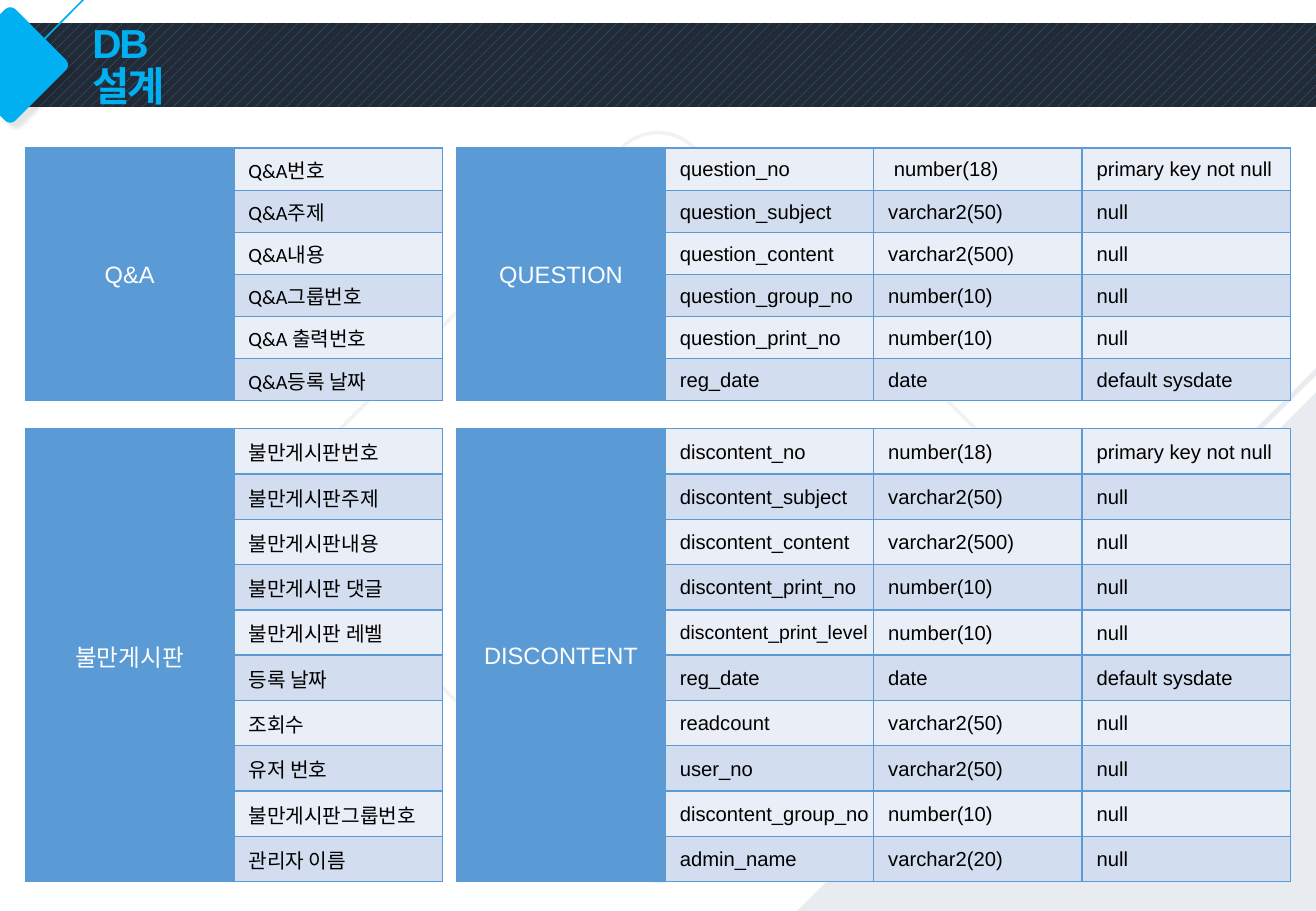
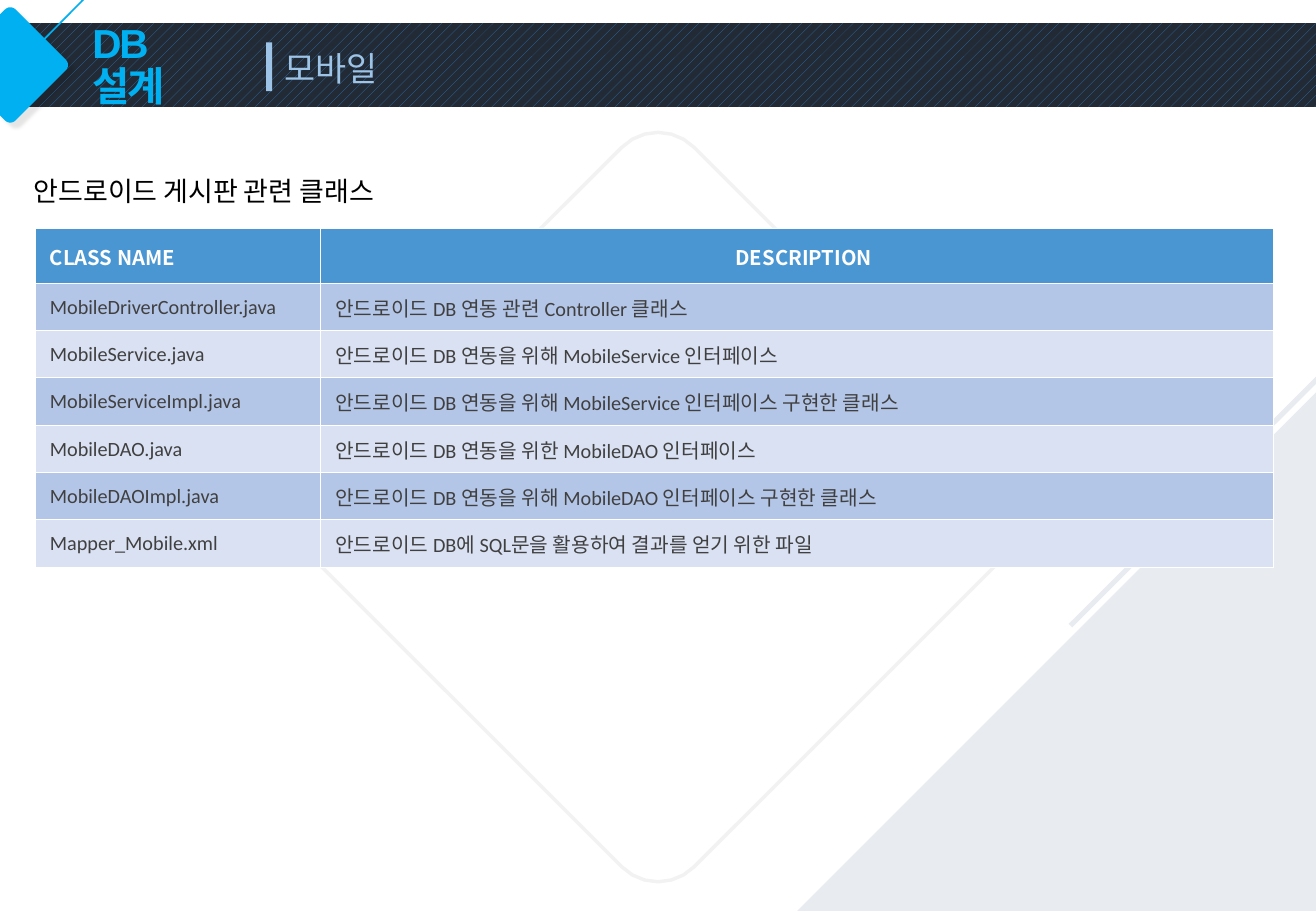
from math import cos, radians, sin, sqrt

from pptx import Presentation
from pptx.dml.color import RGBColor
from pptx.enum.dml import MSO_PATTERN
from pptx.enum.shapes import MSO_CONNECTOR, MSO_SHAPE
from pptx.enum.text import MSO_ANCHOR as ANCHOR, PP_ALIGN as ALIGN
from pptx.oxml import parse_xml
from pptx.oxml.ns import nsdecls
from pptx.oxml.xmlchemy import OxmlElement
from pptx.util import Inches, Pt

WHITE, BLACK, CYAN, PALE_BLUE = "FFFFFF", "000000", "00B0F0", "9DC3E6"
BLUE, GHOST, CORNER = "5B9BD5", "F2F2F2", "E8EBF0"
BANDS = ("EAEFF7", "D2DEEF")
HEADER, CLASS_BANDS = "4A96D2", ("B4C6E7", "D9E1F2")
KOREAN = "Noto Sans CJK KR"

QA_LABELS = ["Q&A번호", "Q&A주제", "Q&A내용", "Q&A그룹번호", "Q&A 출력번호", "Q&A등록 날짜"]
QUESTION = [
    ("question_no", " number(18)", "primary key not null"),
    ("question_subject", "varchar2(50)", "null"),
    ("question_content", "varchar2(500)", "null"),
    ("question_group_no", "number(10)", "null"),
    ("question_print_no", "number(10)", "null"),
    ("reg_date", "date", "default sysdate"),
]
BOARD_LABELS = ["불만게시판번호", "불만게시판주제", "불만게시판내용", "불만게시판 댓글",
                "불만게시판 레벨", "등록 날짜", "조회수", "유저 번호",
                "불만게시판그룹번호", "관리자 이름"]
DISCONTENT = [
    ("discontent_no", "number(18)", "primary key not null"),
    ("discontent_subject", "varchar2(50)", "null"),
    ("discontent_content", "varchar2(500)", "null"),
    ("discontent_print_no", "number(10)", "null"),
    ("discontent_print_level", "number(10)", "null"),
    ("reg_date", "date", "default sysdate"),
    ("readcount", "varchar2(50)", "null"),
    ("user_no", "varchar2(50)", "null"),
    ("discontent_group_no", "number(10)", "null"),
    ("admin_name", "varchar2(20)", "null"),
]
CLASSES = [
    ("CLASS NAME", "DESCRIPTION"),
    ("MobileDriverController.java", "안드로이드 DB 연동 관련 Controller 클래스"),
    ("MobileService.java", "안드로이드 DB 연동을 위해 MobileService 인터페이스"),
    ("MobileServiceImpl.java", "안드로이드 DB 연동을 위해 MobileService 인터페이스 구현한 클래스"),
    ("MobileDAO.java", "안드로이드 DB 연동을 위한 MobileDAO 인터페이스"),
    ("MobileDAOImpl.java", "안드로이드 DB 연동을 위해 MobileDAO 인터페이스 구현한 클래스"),
    ("Mapper_Mobile.xml", "안드로이드 DB에 SQL문을 활용하여 결과를 얻기 위한 파일"),
]


def rgb(value):
    return RGBColor.from_string(value)


def paint(obj, color):
    obj.fill.solid()
    obj.fill.fore_color.rgb = rgb(color)


def inches(*values):
    return [Inches(v) for v in values]


def write(tf, text, size, color, name="Calibri", bold=False, align=None):
    p = tf.paragraphs[0]
    p.alignment = align
    r = p.add_run()
    r.text = text
    for key, value in {"name": name, "size": Pt(size), "bold": bold}.items():
        setattr(r.font, key, value)
    r.font.color.rgb = rgb(color)
    ea = OxmlElement("a:ea")
    ea.set("typeface", KOREAN)
    r.font._element.append(ea)
    return p, r


def add_text(slide, box, text, size, color, **fmt):
    tf = slide.shapes.add_textbox(*inches(*box)).text_frame
    tf.word_wrap = True
    return tf, *write(tf, text, size, color, **fmt)


def add_block(slide, kind, box, color=None):
    sp = slide.shapes.add_shape(kind, *inches(*box))
    sp.shadow.inherit = False
    sp.line.fill.background()
    if color:
        paint(sp, color)
    return sp


def add_line(slide, start, end, color, width):
    cn = slide.shapes.add_connector(MSO_CONNECTOR.STRAIGHT, *inches(*start, *end))
    cn.line.color.rgb = rgb(color)
    cn.line.width = Pt(width)
    cn._element.spPr.append(OxmlElement("a:effectLst"))


def add_diamond(slide, left, top, size, radius):
    reach = size / 2 - radius * sqrt(2) * sqrt(0.5)
    cx, cy = left + size / 2, top + size / 2
    points = []
    for corner in range(0, 360, 90):
        ox = cx + reach * cos(radians(corner))
        oy = cy + reach * sin(radians(corner))
        for turn in range(corner - 45, corner + 46, 15):
            points.append(inches(ox + radius * cos(radians(turn)),
                                 oy + radius * sin(radians(turn))))
    fb = slide.shapes.build_freeform(*points[0])
    fb.add_line_segments(points[1:], close=True)
    sp = fb.convert_to_shape()
    sp.shadow.inherit = False
    return sp


def add_shadow(sp):
    effects = sp._element.spPr.find(OxmlElement("a:effectLst").tag)
    effects.append(parse_xml(
        f'<a:outerShdw {nsdecls("a")} blurRad="{Pt(2)}" dist="{Pt(5)}" dir="2700000" '
        'algn="tl" rotWithShape="0"><a:srgbClr val="000000"><a:alpha val="10000"/>'
        '</a:srgbClr></a:outerShdw>'))


def add_frame(prs, stripe_top):
    slide = prs.slides.add_slide(prs.slide_layouts[6])
    band = add_block(slide, MSO_SHAPE.RECTANGLE, (0, 0.19, 10.83, 0.69))
    band.fill.patterned()
    band.fill.pattern = MSO_PATTERN.PERCENT_20
    band.fill.fore_color.rgb = rgb("2E75B6")
    band.fill.back_color.rgb = rgb("222A35")

    badge = add_diamond(slide, -0.39, 0.06, 0.95, 0.06)
    paint(badge, CYAN)
    badge.line.fill.background()
    add_shadow(badge)

    outline = add_diamond(slide, 2.33, 1.09, 6.17, 0.42)
    outline.fill.background()
    outline.line.color.rgb = rgb(GHOST)
    outline.line.width = Pt(2)

    add_block(slide, MSO_SHAPE.RIGHT_TRIANGLE, (6.56, 3.23, 4.27, 4.27), CORNER).rotation = 270
    add_line(slide, (0.08, 0.61), (0.85, -0.17), CYAN, 1)
    add_line(slide, (12.01, stripe_top), (8.81, stripe_top + 3.2), CORNER, 3)

    tf, p, r = add_text(slide, (0.76, 0.37, 1.16, 0.36), "DB 설계", 24, CYAN,
                        name="Arial", bold=True)
    tf.vertical_anchor = ANCHOR.MIDDLE
    tf.margin_left = tf.margin_top = tf.margin_bottom = 0
    tf.margin_right = Inches(0.3)
    p.line_spacing = 0.9
    r.font._element.set("spc", "-130")
    return slide


def add_grid(slide, left, top, widths, heights):
    frame = slide.shapes.add_table(len(heights), len(widths),
                                   *inches(left, top, sum(widths), sum(heights)))
    table = frame.table
    table.first_row = table.horz_banding = False
    for col, width in zip(table.columns, widths):
        col.width = Inches(width)
    for row, height in zip(table.rows, heights):
        row.height = Inches(height)
    return table


def style_cell(cell, fill, border, width, left=0.12):
    pr = cell._tc.get_or_add_tcPr()
    for side in "LRTB":
        pr.append(parse_xml(
            f'<a:ln{side} {nsdecls("a")} w="{Pt(width)}"><a:solidFill>'
            f'<a:srgbClr val="{border}"/></a:solidFill></a:ln{side}>'))
    paint(cell, fill)
    cell.vertical_anchor = ANCHOR.MIDDLE
    margins = {"margin_left": left, "margin_right": 0.01, "margin_top": 0.01, "margin_bottom": 0}
    for key, value in margins.items():
        setattr(cell, key, Inches(value))


def entity_table(slide, box, name, rows, font, name_font):
    left, top, width, height = box
    cols = len(rows[0]) + 1
    table = add_grid(slide, left, top, [width / cols] * cols, [height / len(rows)] * len(rows))
    for i, values in enumerate(rows):
        style_cell(table.cell(i, 0), BLUE, BLUE, 1, 0.01)
        for j, text in enumerate(values, 1):
            cell = table.cell(i, j)
            style_cell(cell, BANDS[i % 2], BLUE, 1)
            size = 11.5 if text == "discontent_print_level" else 12
            write(cell.text_frame, text, size, BLACK, font)
    table.cell(0, 0).merge(table.cell(len(rows) - 1, 0))
    write(table.cell(0, 0).text_frame, name, 14, WHITE, name_font, align=ALIGN.CENTER)


def class_table(slide, left, top):
    table = add_grid(slide, left, top, [2.35, 7.84], [0.45] + [0.39] * (len(CLASSES) - 1))
    for i, values in enumerate(CLASSES):
        for j, text in enumerate(values):
            cell = table.cell(i, j)
            style_cell(cell, CLASS_BANDS[(i - 1) % 2] if i else HEADER, WHITE, 0.5)
            if i:
                write(cell.text_frame, text, 12, "404040")
            else:
                write(cell.text_frame, text, 12, WHITE, KOREAN, True,
                      ALIGN.CENTER if j else None)


def schema_slide(prs):
    slide = add_frame(prs, 1.88)
    groups = [
        (1.22, 2.08, "Q&A", "Arial", QA_LABELS, "QUESTION", QUESTION),
        (3.53, 3.73, "불만게시판", "Calibri", BOARD_LABELS, "DISCONTENT", DISCONTENT),
    ]
    for top, height, label, label_font, labels, entity, fields in groups:
        entity_table(slide, (0.21, top, 3.43, height), label,
                     [(text,) for text in labels], "Calibri", label_font)
        entity_table(slide, (3.76, top, 6.86, height), entity, fields, "Arial", "Arial")


def mobile_slide(prs):
    slide = add_frame(prs, 1.95)
    class_table(slide, 0.29, 1.88)
    add_text(slide, (0.18, 1.39, 4.05, 0.37), "안드로이드 게시판 관련 클래스", 16, BLACK)
    add_text(slide, (2.24, 0.34, 4.99, 0.44), "모바일", 20, PALE_BLUE)
    add_block(slide, MSO_SHAPE.RECTANGLE, (2.19, 0.35, 0.05, 0.4), PALE_BLUE)


def main():
    prs = Presentation()
    prs.slide_width, prs.slide_height = inches(10.83, 7.5)
    schema_slide(prs)
    mobile_slide(prs)
    prs.save("out.pptx")


if __name__ == "__main__":
    main()
